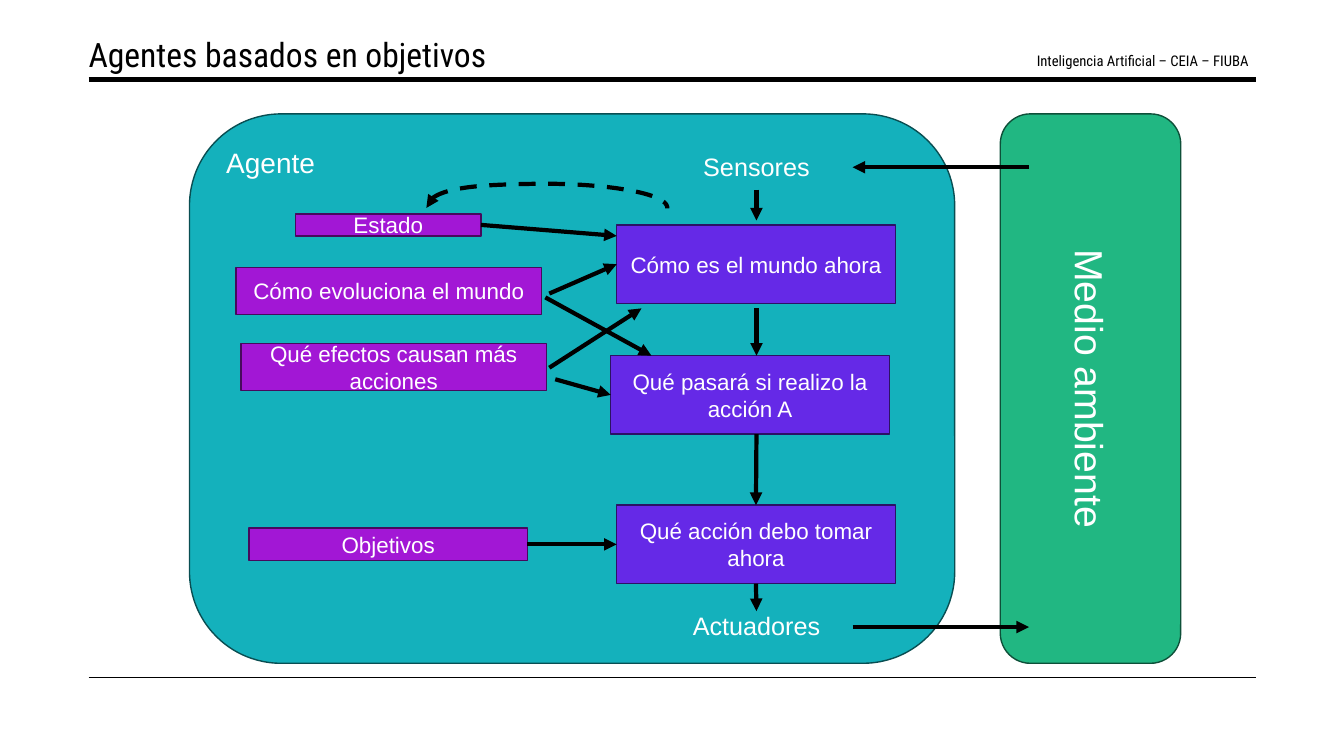
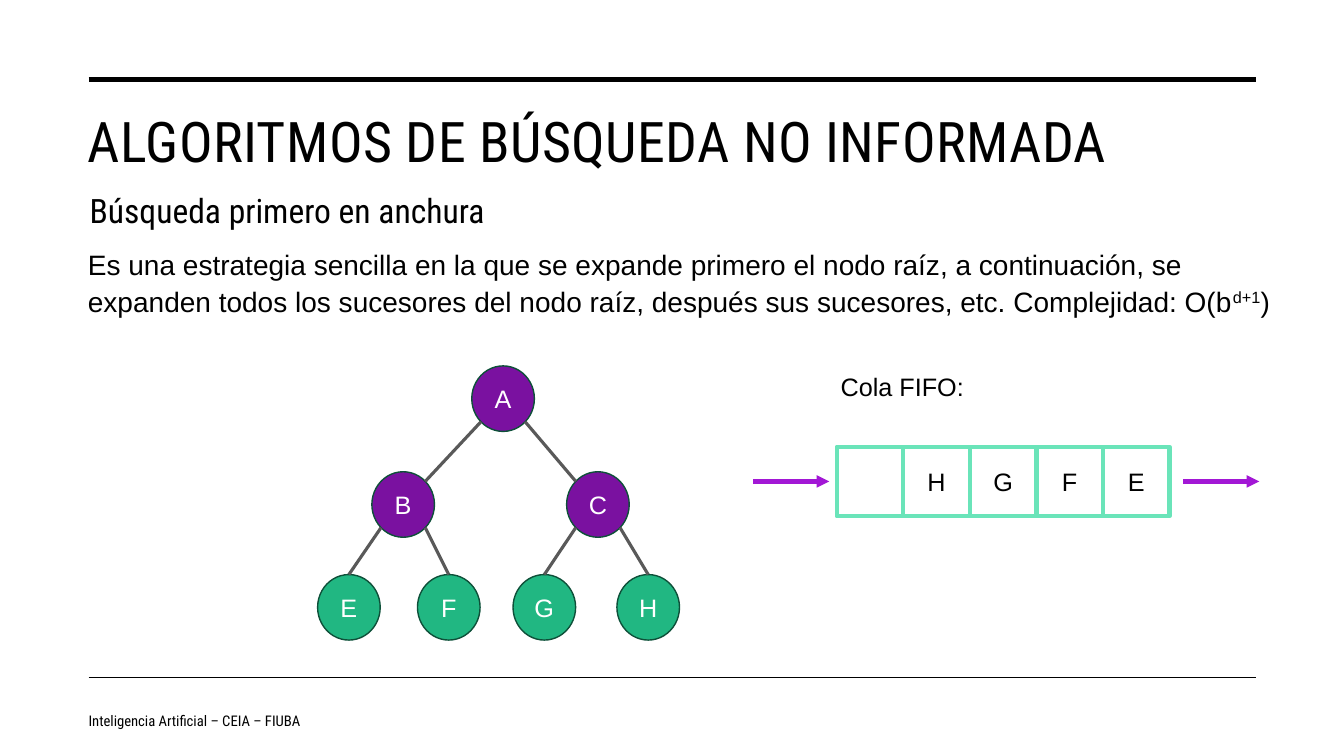
from dataclasses import dataclass

from lxml import etree
from pptx import Presentation
from pptx.dml.color import RGBColor
from pptx.enum.dml import MSO_LINE
from pptx.enum.shapes import MSO_CONNECTOR, MSO_SHAPE
from pptx.enum.text import MSO_ANCHOR, PP_ALIGN
from pptx.oxml.ns import qn
from pptx.util import Inches, Pt

STRAIGHT = MSO_CONNECTOR.STRAIGHT
RECTANGLE, ROUNDED, OVAL = MSO_SHAPE.RECTANGLE, MSO_SHAPE.ROUNDED_RECTANGLE, MSO_SHAPE.OVAL
TOP, MIDDLE = MSO_ANCHOR.TOP, MSO_ANCHOR.MIDDLE
LEFT, CENTER = PP_ALIGN.LEFT, PP_ALIGN.CENTER
DASH = MSO_LINE.DASH
SIDE_TOP, SIDE_LEFT, SIDE_BOTTOM, SIDE_RIGHT = range(4)

COLORS = {
    "black": "000000", "white": "FFFFFF", "edge": "595959",
    "agent": "14B1BC", "agent_line": "094E52",
    "green": "21B782", "green_line": "0E5039",
    "step": "6529E7", "step_line": "2C1265",
    "knowledge": "A217D5", "knowledge_line": "470A5D",
    "visited": "7A11A0", "queue": "6AE4B9",
}
HEADING_FONT, BODY_FONT = "Roboto Condensed", "Arial"
FOOTER = "Inteligencia Artificial – CEIA – FIUBA"


@dataclass
class Box:
    """An area whose inner areas are given in percent of its width and height."""
    left: int
    top: int
    width: int
    height: int

    def point(self, x, y):
        return (round(self.left + self.width * x / 100),
                round(self.top + self.height * y / 100))

    def area(self, x, y, width, height):
        return Box(*self.point(x, y), round(self.width * width / 100),
                   round(self.height * height / 100))

    def bounds(self):
        return self.left, self.top, self.width, self.height


PAGE = Box(0, 0, Inches(13.33), Inches(7.5))


def rgb(name):
    return RGBColor.from_string(COLORS[name])


def add_run(paragraph, text, size, color="black", font=BODY_FONT, **attributes):
    run = paragraph.add_run()
    run.text = text
    run.font.size = Pt(size)
    run.font.name = font
    run.font.color.rgb = rgb(color)
    for name, value in attributes.items():
        run._r.get_or_add_rPr().set(name, value)


def add_text(slide, box, text, size, color="black", font=BODY_FONT,
             align=LEFT, anchor=TOP, wrap=True, **attributes):
    frame = slide.shapes.add_textbox(*box.bounds()).text_frame
    frame.word_wrap = wrap
    frame.vertical_anchor = anchor
    paragraph = frame.paragraphs[0]
    paragraph.alignment = align
    add_run(paragraph, text, size, color, font, **attributes)
    return paragraph


def add_heading(slide, box, text, size, **options):
    add_text(slide, box, text, size, font=HEADING_FONT, **options)


def add_block(slide, box, text, size, fill, line, kind=RECTANGLE, line_width=1,
              color="white", align=CENTER, anchor=MIDDLE):
    shape = slide.shapes.add_shape(kind, *box.bounds())
    shape.shadow.inherit = False
    shape.fill.solid()
    shape.fill.fore_color.rgb = rgb(fill)
    shape.line.color.rgb = rgb(line)
    shape.line.width = Pt(line_width)
    shape.text_frame.vertical_anchor = anchor
    paragraph = shape.text_frame.paragraphs[0]
    paragraph.alignment = align
    if text:
        add_run(paragraph, text, size, color)
    return shape


def add_arrowhead(shape, end):
    line = shape.line._get_or_add_ln()
    etree.SubElement(line, qn("a:" + end), type="triangle")


def add_line(slide, start, end, color="black", width=3, arrow=False):
    line = slide.shapes.add_connector(STRAIGHT, *start, *end)
    line.line.color.rgb = rgb(color)
    line.line.width = Pt(width)
    if arrow:
        add_arrowhead(line, "tailEnd")
    etree.SubElement(line._element.spPr, qn("a:effectLst"))
    return line


def add_page_frame(slide, footer_box):
    for y, width in ((10.53, 3.5), (89.6, 1)):
        add_line(slide, PAGE.point(6.6, y), PAGE.point(93.45, y), width=width)
    add_heading(slide, footer_box, FOOTER, 10.5, anchor=MIDDLE)


def cubic(points, steps=24):
    """Return points along one cubic curve."""
    for step in range(steps + 1):
        t = step / steps
        weights = ((1 - t) ** 3, 3 * t * (1 - t) ** 2, 3 * t * t * (1 - t), t ** 3)
        yield tuple(sum(weight * point[axis] for weight, point in zip(weights, points))
                    for axis in (0, 1))


def add_feedback_curve(slide, box):
    start, crest, end = (23.9, 17.1), (36.1, 12.7), (48.2, 17.2)
    rise = cubic((start, (24.2, 13.2), (29.5, 12.8), crest))
    fall = cubic((crest, (43, 12.8), (48.4, 14.7), end))
    points = [box.point(*point) for point in (*rise, *list(fall)[1:])]
    builder = slide.shapes.build_freeform(*points[0])
    builder.add_line_segments(points[1:], close=False)
    curve = builder.convert_to_shape()
    curve.shadow.inherit = False
    curve.fill.background()
    curve.line.color.rgb = rgb("black")
    curve.line.width = Pt(3)
    curve.line.dash_style = DASH
    add_arrowhead(curve, "headEnd")


def add_environment(slide, box):
    """Draw the panel lying down and turn it, so that its text runs downwards."""
    lying = Box(box.left + (box.width - box.height) // 2,
                box.top + (box.height - box.width) // 2, box.height, box.width)
    panel = add_block(slide, lying, "Medio ambiente", 28, "green", "green_line", ROUNDED)
    panel.rotation = 90


def add_agent_diagram(slide, box):
    add_block(slide, box.area(0, 0, 77.2, 100), "Agente", 20, "agent", "agent_line",
              ROUNDED, align=LEFT, anchor=TOP)
    add_environment(slide, box.area(81.8, 0, 18.2, 100))
    for text, x, y, width in (("Sensores", 46.6, 5.9, 21.2), ("Actuadores", 45.6, 89.4, 23.2)):
        add_text(slide, box.area(x, y, width, 7.3), text, 18, "white", align=CENTER)

    steps = (
        ("world", "Cómo es el mundo ahora", 43.1, 20.2, 28.1, 14.3),
        ("outcome", "Qué pasará si realizo la acción A", 42.5, 44, 28.1, 14.3),
        ("action", "Qué acción debo tomar ahora", 43.1, 71.2, 28.1, 14.3),
    )
    knowledge = (
        ("state", "Estado", 10.7, 18.2, 18.7, 4),
        ("evolution", "Cómo evoluciona el mundo", 4.7, 27.9, 30.8, 8.6),
        ("effects", "Qué efectos causan más acciones", 5.2, 41.8, 30.8, 8.6),
        ("goals", "Objetivos", 6, 75.4, 28.1, 5.9),
    )
    blocks = {}
    for style, items in (("step", steps), ("knowledge", knowledge)):
        for name, text, *place in items:
            blocks[name] = add_block(slide, box.area(*place), text, 16,
                                     style, style + "_line")

    middle = 57.2
    arrows = (
        ((84.7, 9.7), (66.9, 9.7), None, None),
        ((66.9, 93.4), (84.7, 93.4), None, None),
        ((middle, 13.8), (middle, 19.4), None, None),
        ((middle, 35.4), (middle, 44), None, None),
        ((middle, 58.3), (middle, 71.2), None, ("action", SIDE_TOP)),
        ((middle, 85.5), (middle, 90.5), ("action", SIDE_BOTTOM), None),
        ((34.1, 78.3), (43.1, 78.3), ("goals", SIDE_RIGHT), ("action", SIDE_LEFT)),
        ((29.4, 20.2), (43.1, 22.2), ("state", SIDE_RIGHT), None),
        ((36.3, 32.7), (43.1, 27.3), None, ("world", SIDE_LEFT)),
        ((35.9, 33.4), (46.6, 44), None, None),
        ((36.3, 46.2), (45.6, 35.4), None, None),
        ((36.9, 48.3), (42.5, 51.1), None, ("outcome", SIDE_LEFT)),
    )
    for start, end, source, target in arrows:
        arrow = add_line(slide, box.point(*start), box.point(*end), arrow=True)
        if source:
            arrow.begin_connect(blocks[source[0]], source[1])
        if target:
            arrow.end_connect(blocks[target[0]], target[1])
    add_feedback_curve(slide, box)


def add_search_tree(slide, box):
    node_width, node_height = 17.3, 23.9
    levels = (
        (0, "visited", {"A": 42.6}),
        (38.6, "visited", {"B": 15, "C": 68.8}),
        (76.1, "green", {"E": 0, "F": 27.6, "G": 54, "H": 82.7}),
    )
    nodes = {}
    for y, fill, row in levels:
        for name, x in row.items():
            nodes[name] = box.area(x, y, node_width, node_height)
            add_block(slide, nodes[name], name, 18, fill, "green_line", OVAL)

    near, far = 14.64, 85.36  # where the diagonals cross the ellipse
    for parent, children in {"A": "BC", "B": "EF", "C": "GH"}.items():
        for child, start_x, end_x in zip(children, (near, far), (far, near)):
            end = (end_x, near) if child in "BC" else (50, 0)
            add_line(slide, nodes[parent].point(start_x, far),
                     nodes[child].point(*end), "edge", 2.25)


def add_queue(slide, box):
    add_text(slide, box.area(15.3, 0, 29.1, 26.8), "Cola FIFO:", 18, wrap=False)
    first, cell_width, cell_top = 16.5, 13.15, 53.7
    for column, entry in enumerate(("", "H", "G", "F", "E")):
        cell = box.area(first + column * cell_width, cell_top, cell_width, 100 - cell_top)
        add_block(slide, cell, entry, 18, "white", "queue", line_width=3, color="black")
    for start, end in ((0, 15), (85, 100)):
        add_line(slide, box.point(start, 76.8), box.point(end, 76.8), "knowledge", arrow=True)


def build_agent_slide(slide):
    add_page_frame(slide, PAGE.area(76.4, 5.33, 21.9, 5.33))
    add_heading(slide, PAGE.area(5.85, 3.87, 62.85, 6.67), "Agentes basados en objetivos", 24)
    add_agent_diagram(slide, PAGE.area(14.1, 15.07, 73.75, 72.67))


def build_search_slide(slide):
    add_page_frame(slide, PAGE.area(5.85, 92.67, 37.2, 5.33))
    add_heading(slide, PAGE.area(5.8, 13.4, 87.7, 11),
                "ALGORITMOS DE BÚSQUEDA NO INFORMADA", 40, spc="30")
    add_heading(slide, PAGE.area(5.93, 24.5, 62.85, 6.67), "Búsqueda primero en anchura", 24)
    paragraph = add_text(
        slide, PAGE.area(5.8, 31.6, 90.45, 12),
        "Es una estrategia sencilla en la que se expande primero el nodo raíz, a continuación, "
        "se expanden todos los sucesores del nodo raíz, después sus sucesores, etc. "
        "Complejidad: O(b", 20)
    paragraph.line_spacing = 1.1
    add_run(paragraph, "d+1", 20, baseline="30000")
    add_run(paragraph, ")", 20)
    add_search_tree(slide, PAGE.area(23.63, 48.4, 26.93, 36.27))
    add_queue(slide, PAGE.area(56.05, 48.4, 37.65, 19.9))


def main():
    presentation = Presentation()
    presentation.slide_width, presentation.slide_height = PAGE.width, PAGE.height
    blank = presentation.slide_layouts[6]
    for build in (build_agent_slide, build_search_slide):
        build(presentation.slides.add_slide(blank))
    presentation.save("out.pptx")


if __name__ == "__main__":
    main()
